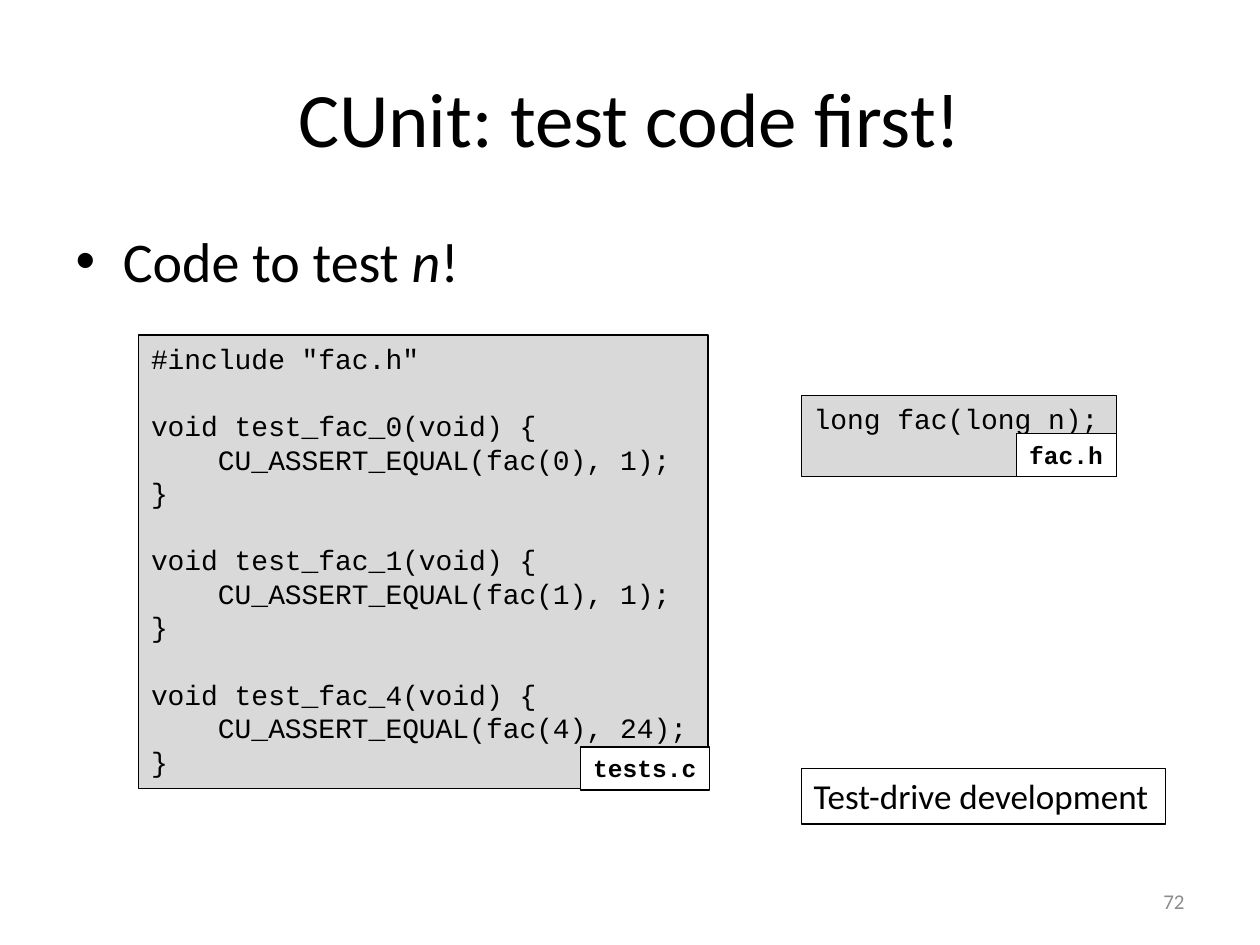
import pptx
import pptx.dml.color
import pptx.enum.shapes
import pptx.enum.text
import pptx.util
from pptx.util import Inches, Pt

TITLE = "CUnit: test code first!"
BULLET = [("Code to test ", False), ("n", True), ("!", False)]
TESTS = '''#include "fac.h"

void test_fac_0(void) {
    CU_ASSERT_EQUAL(fac(0), 1);
}

void test_fac_1(void) {
    CU_ASSERT_EQUAL(fac(1), 1);
}

void test_fac_4(void) {
    CU_ASSERT_EQUAL(fac(4), 24);
}'''
# code, code box, file name, file name box (left, top, width, height)
FILES = [
    (TESTS, (1.1, 2.66, 4.52, 3.6), "tests.c", (4.61, 5.93, 1.02, 0.34)),
    ("long fac(long n);", (6.36, 3.14, 2.5, 0.64), "fac.h", (8.07, 3.44, 0.79, 0.34)),
]
REMARK = "Test-drive development"
PAGE = "72"
BLACK, WHITE, CODE_GREY, PAGE_GREY = "000000", "FFFFFF", "D9D9D9", "8C8C8C"
CODE_LINE = 19.2  # height in points of one blank code line
ALIGN = pptx.enum.text.PP_ALIGN
ANCHOR = pptx.enum.text.MSO_ANCHOR


def rgb(colour):
    return pptx.dml.color.RGBColor.from_string(colour)


def place(shape, box):
    shape.left, shape.top, shape.width, shape.height = map(Inches, box)


def add_run(paragraph, text, size, font="Calibri", colour=BLACK, bold=False, italic=False):
    run = paragraph.add_run()
    run.text = text
    run.font.name, run.font.size = font, Pt(size)
    run.font.bold, run.font.italic = bold, italic
    run.font.color.rgb = rgb(colour)


def add_box(shapes, text, box, size, fill=None, **style):
    """Outlined box; a blank line in the text becomes space before the next one."""
    shape = shapes.add_shape(pptx.enum.shapes.MSO_SHAPE.RECTANGLE, *map(Inches, box))
    shape.shadow.inherit = False
    if fill:
        shape.fill.solid()
        shape.fill.fore_color.rgb = rgb(fill)
    else:
        shape.fill.background()
    shape.line.color.rgb = rgb(BLACK)
    shape.line.width = Pt(0.75)
    frame = shape.text_frame
    frame.word_wrap = False
    frame.vertical_anchor = ANCHOR.TOP
    for number, block in enumerate(text.split("\n\n")):
        for row, line in enumerate(block.split("\n")):
            first = number == row == 0
            paragraph = frame.paragraphs[0] if first else frame.add_paragraph()
            paragraph.alignment = ALIGN.LEFT
            if number and row == 0:
                paragraph.space_before = Pt(CODE_LINE)
            add_run(paragraph, line, size, **style)


deck = pptx.Presentation()
deck.slide_width, deck.slide_height = Inches(10), Inches(7.5)
slide = deck.slides.add_slide(deck.slide_layouts[1])

title, body = slide.placeholders
place(title, (0.5, 0.3, 9, 1.25))
title.text_frame.vertical_anchor = ANCHOR.MIDDLE
heading = title.text_frame.paragraphs[0]
heading.alignment = ALIGN.CENTER
add_run(heading, TITLE, 44)

place(body, (0.5, 1.75, 9, 4.95))
bullet = body.text_frame.paragraphs[0]
bullet.space_before = Pt(0)
for text, italic in BULLET:
    add_run(bullet, text, 32, italic=italic)

for code, code_box, name, name_box in FILES:
    group = slide.shapes.add_group_shape().shapes
    add_box(group, code, code_box, 16, CODE_GREY, font="Courier New")
    add_box(group, name, name_box, 14, WHITE, font="Courier New", bold=True)

page = slide.shapes.add_textbox(*map(Inches, (7.17, 6.95, 2.33, 0.4))).text_frame
page.word_wrap = True
page.vertical_anchor = ANCHOR.MIDDLE
page.paragraphs[0].alignment = ALIGN.RIGHT
add_run(page.paragraphs[0], PAGE, 12, colour=PAGE_GREY)

add_box(slide.shapes, REMARK, (6.36, 6.1, 2.89, 0.44), 20)

deck.save("out.pptx")
